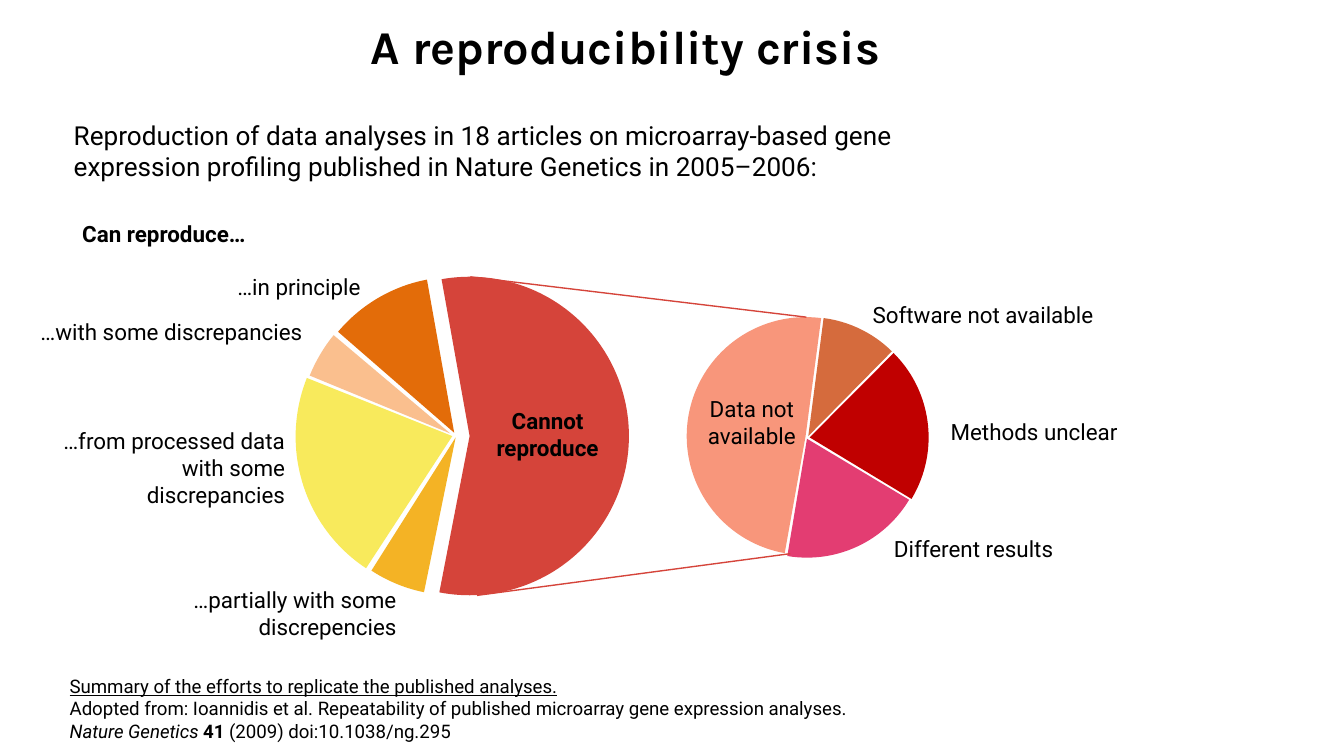
from lxml.etree import SubElement
from pptx import Presentation
from pptx.dml.color import RGBColor
from pptx.enum.shapes import MSO_CONNECTOR, MSO_SHAPE
from pptx.enum.text import MSO_ANCHOR, PP_ALIGN as ALIGN
from pptx.oxml.ns import qn
from pptx.util import Inches, Pt

BLACK = RGBColor(0, 0, 0)
RED = RGBColor(0xD5, 0x44, 0x3A)
ORANGE = RGBColor(0xE3, 0x6C, 0x09)
PEACH = RGBColor(0xFA, 0xBF, 0x8E)
YELLOW = RGBColor(0xF8, 0xEA, 0x5C)
AMBER = RGBColor(0xF4, 0xB3, 0x25)
SALMON = RGBColor(0xF8, 0x96, 0x7B)
RUST = RGBColor(0xD5, 0x6B, 0x3D)
CRIMSON = RGBColor(0xC0, 0, 0)
PINK = RGBColor(0xE3, 0x3D, 0x72)

TITLE = "A reproducibility crisis"
INTRO = ("Reproduction of data analyses in 18 articles on microarray-based gene "
         "expression profiling published in Nature Genetics in 2005–2006:")
SOURCE = [
    [("Summary of the efforts to replicate the published analyses.", {"underline": True})],
    [("Adopted from: Ioannidis et al. Repeatability of published microarray "
      "gene expression analyses.", {})],
    [("Nature Genetics ", {"italic": True}), ("41", {"bold": True}),
     (" (2009) doi:10.1038/ng.295", {})],
]

SMALL = 1.77
SLICES = [
    ((2.31, 2.06, 2.37, 2.37), 0, (79.03, 280.16), RED),
    ((2.24, 2.06, 2.28, 2.32), 190, (110.09, 148.99), ORANGE),
    ((2.22, 2.07, 2.26, 2.31), 193.6, (153.44, 171.19), PEACH),
    ((2.2, 2.07, 2.33, 2.35), 193.6, (171.79, 250.48), YELLOW),
    ((2.24, 2.08, 2.3, 2.35), 192.5, (250.2, 270.95), AMBER),
    ((5.11, 2.36, SMALL, SMALL), 0, (262.51, 79.85), SALMON),
    ((5.13, 2.36, SMALL, SMALL), 0, (225.4, 262.63), RUST),
    ((5.14, 2.37, SMALL, SMALL), 0, (148.85, 225.14), CRIMSON),
    ((5.12, 2.38, SMALL, SMALL), 0, (80.45, 149.09), PINK),
]
GUIDES = [(3.5, 2.06, 6, 2.36), (3.55, 4.43, 5.88, 4.12)]
LABELS = [
    ("Data not available", (5.13, 2.89, 0.93, 0.5), ALIGN.CENTER, False),
    ("Software not available", (6.35, 2.19, 1.93, 0.3), ALIGN.CENTER, False),
    ("Methods unclear", (6.73, 3.06, 1.93, 0.3), ALIGN.CENTER, False),
    ("Different results", (6.28, 3.93, 1.93, 0.3), ALIGN.CENTER, False),
    ("Cannot reproduce", (3.41, 2.98, 1.33, 0.5), ALIGN.CENTER, True),
    ("Can reproduce…", (0.42, 1.59, 1.6, 0.3), ALIGN.CENTER, True),
    ("…in principle", (1.26, 1.98, 1.93, 0.3), ALIGN.CENTER, False),
    ("…with some discrepancies", (0.17, 2.32, 2.18, 0.5), ALIGN.RIGHT, False),
    ("…from processed data with some discrepancies", (0.24, 3.13, 1.98, 0.71),
     ALIGN.RIGHT, False),
    ("…partially with some discrepencies", (1.12, 4.31, 1.93, 0.5), ALIGN.RIGHT, False),
]


def inches(values):
    return [Inches(value) for value in values]


def write(frame, paragraphs, size=12, font="Roboto", align=ALIGN.LEFT, bold=False):
    if isinstance(paragraphs, str):
        paragraphs = [[(paragraphs, {})]]
    frame.word_wrap = True
    frame.vertical_anchor = MSO_ANCHOR.TOP
    for index, runs in enumerate(paragraphs):
        para = frame.add_paragraph() if index else frame.paragraphs[0]
        para.alignment = align
        for text, style in runs:
            span = para.add_run()
            span.text = text
            span.font.name = font
            span.font.size = Pt(size)
            span.font.bold = bold
            span.font.color.rgb = BLACK
            for name, value in style.items():
                setattr(span.font, name, value)


def add_text(page, text, place, **style):
    box = page.shapes.add_textbox(*inches(place))
    write(box.text_frame, text, **style)


def add_title(page):
    title = page.shapes.title
    title.left, title.top, title.width, title.height = inches((1.74, 0.13, 5.83, 0.35))
    frame = title.text_frame
    frame.margin_left = frame.margin_right = frame.margin_top = frame.margin_bottom = 0
    write(frame, TITLE, size=25.2, font="Karla", align=ALIGN.CENTER, bold=True)


def add_slice(page, place, rotation, angles, color):
    pie = page.shapes.add_shape(MSO_SHAPE.PIE, *inches(place))
    for index, angle in enumerate(angles):
        pie.adjustments[index] = angle * 0.6
    pie.element.spPr.xfrm.set("flipH", "1")
    pie.rotation = rotation
    pie.shadow.inherit = False
    pie.fill.solid()
    pie.fill.fore_color.rgb = color
    pie.line.fill.background()


def add_guide(page, ends):
    guide = page.shapes.add_connector(MSO_CONNECTOR.STRAIGHT, *inches(ends))
    guide.line.color.rgb = RED
    guide.line.width = Pt(0.75)
    SubElement(guide.element.spPr, qn("a:effectLst"))


def main():
    deck = Presentation()
    deck.slide_width = Inches(10)
    deck.slide_height = deck.slide_width * 9 // 16
    page = deck.slides.add_slide(deck.slide_layouts[5])
    add_title(page)
    add_text(page, SOURCE, (0.42, 4.97, 9.34, 0.61), size=10)
    for piece in SLICES:
        add_slice(page, *piece)
    for ends in GUIDES:
        add_guide(page, ends)
    for text, place, align, bold in LABELS:
        add_text(page, text, place, align=align, bold=bold)
    add_text(page, INTRO, (0.45, 0.84, 6.67, 0.57), size=14)
    deck.save("out.pptx")


if __name__ == "__main__":
    main()
